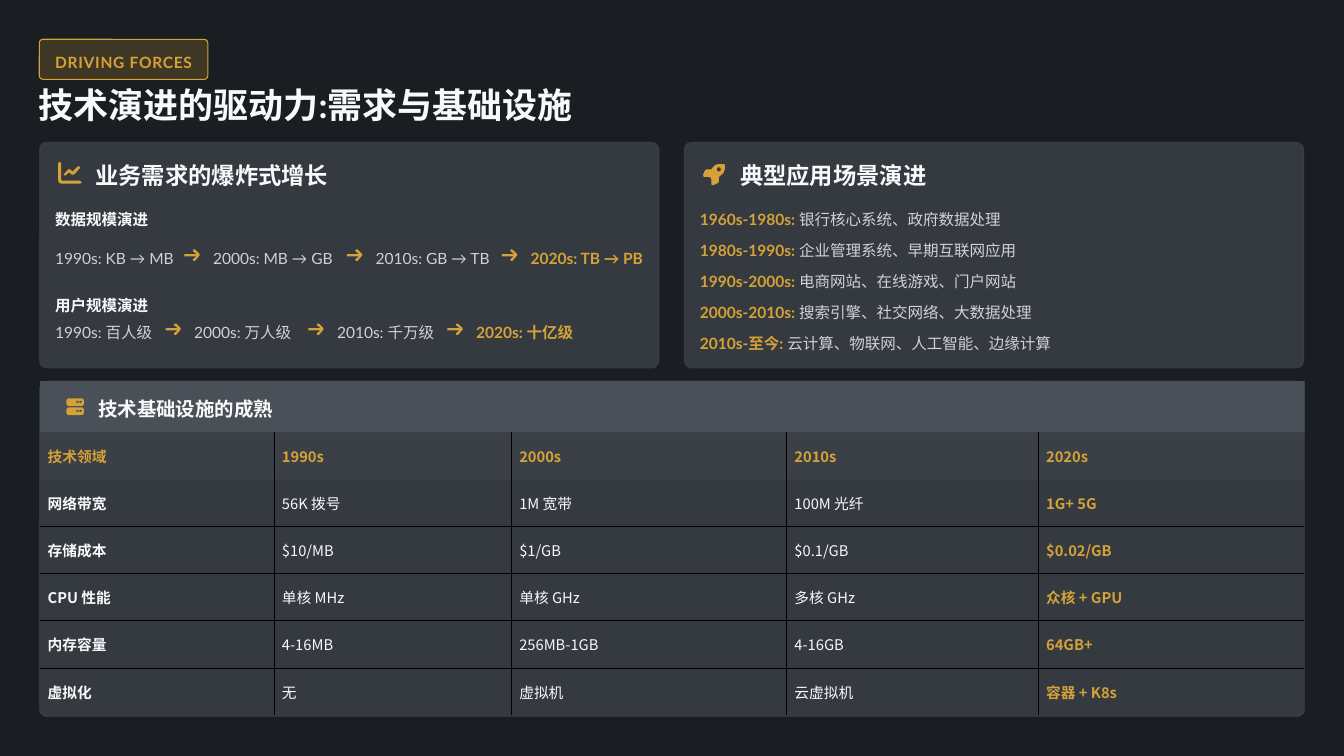
from lxml import etree
from pptx import Presentation
from pptx.dml.color import RGBColor
from pptx.enum.shapes import MSO_SHAPE
from pptx.enum.text import MSO_ANCHOR, MSO_AUTO_SIZE, PP_ALIGN
from pptx.oxml.ns import qn
from pptx.util import Inches, Pt

RECTANGLE = MSO_SHAPE.RECTANGLE
ROUNDED = MSO_SHAPE.ROUNDED_RECTANGLE
OVAL = MSO_SHAPE.OVAL
MIDDLE = MSO_ANCHOR.MIDDLE
LEFT = PP_ALIGN.LEFT
NO_AUTOFIT = MSO_AUTO_SIZE.NONE

GOLD, WHITE, PANEL, SLATE, BLACK = "D4A237", "F8F9FA", "343A40", "495057", "000000"
LATIN_FONT, CJK_FONT = "Lato", "Noto Sans CJK SC"
BODY_SIZE = 14.8

ARROW = [[(20, 11), (14, 18), (12, 18), (11, 16), (16, 12), (0, 12), (0, 9),
          (16, 9), (11, 5), (12, 3), (14, 3), (20, 9)]]
GROWTH = [[(0, 2), (2, 0), (4, 2), (4, 24), (5, 25), (29, 25), (31, 27), (29, 29),
           (5, 29), (1, 28), (0, 24)],
          [(7, 17), (13, 10), (16, 10), (19, 13), (26, 6), (28, 6), (29, 8), (21, 17),
           (18, 17), (14, 14), (10, 18), (8, 18)]]
ROCKET = [[(8, 20), (1, 20), (0, 17), (3, 11), (5, 10), (11, 10), (15, 5), (20, 3),
           (27, 3), (29, 4), (29, 9), (27, 15), (21, 20), (21, 26), (20, 28), (14, 31),
           (11, 30), (11, 23), (10, 21)],
          [(24, 10), (23, 8), (21, 7), (19, 8), (18, 10), (19, 12), (21, 13), (23, 12)]]


def rgb(color):
    return RGBColor.from_string(color)


def set_alpha(owner, percent):
    if percent < 100:
        color = owner.find(qn("a:solidFill"))[0]
        etree.SubElement(color, qn("a:alpha")).set("val", str(percent * 1000))


def format_run(run, size, color, bold=False, alpha=100, font=LATIN_FONT):
    run.font.name = font
    run.font.size = Pt(size)
    run.font.bold = bold
    run.font.color.rgb = rgb(color)
    properties = run._r.get_or_add_rPr()
    set_alpha(properties, alpha)
    etree.SubElement(properties, qn("a:ea")).set("typeface", CJK_FONT)


def prepare_frame(frame):
    frame.margin_left = frame.margin_right = frame.margin_top = frame.margin_bottom = 0
    frame.word_wrap = True
    frame.auto_size = NO_AUTOFIT
    frame.vertical_anchor = MIDDLE


def add_text(slide, left, top, width, height, pieces, spacing=1.3):
    label = slide.shapes.add_textbox(Inches(left), Inches(top), Inches(width), Inches(height))
    prepare_frame(label.text_frame)
    paragraph = label.text_frame.paragraphs[0]
    paragraph.line_spacing = spacing
    for text, style in pieces:
        run = paragraph.add_run()
        run.text = text
        format_run(run, **{"size": BODY_SIZE, "color": WHITE, **style})
    return paragraph


def paint(shape, fill, alpha=100, line=None, line_alpha=100):
    shape.shadow.inherit = False
    shape.fill.solid()
    shape.fill.fore_color.rgb = rgb(fill)
    properties = shape._element.spPr
    set_alpha(properties, alpha)
    if line is None:
        shape.line.fill.background()
    else:
        shape.line.color.rgb = rgb(line)
        shape.line.width = Pt(1)
        set_alpha(properties.find(qn("a:ln")), line_alpha)


def add_block(slide, kind, left, top, width, height, radius=0, **colors):
    block = slide.shapes.add_shape(kind, Inches(left), Inches(top), Inches(width), Inches(height))
    if radius:
        block.adjustments[0] = radius / min(width, height)
    paint(block, **colors)


def add_icon(slide, left, top, contours):
    start, *rest = contours[0]
    builder = slide.shapes.build_freeform(*start, scale=Inches(0.01))
    builder.add_line_segments(rest, close=True)
    for start, *rest in contours[1:]:
        builder.move_to(*start)
        builder.add_line_segments(rest, close=True)
    paint(builder.convert_to_shape(Inches(left), Inches(top)), GOLD)


def add_panel(slide, left, top, width, height):
    add_block(slide, ROUNDED, left, top, width, height, radius=0.1,
              fill=PANEL, line=SLATE, line_alpha=30)


def add_header(slide, left, top, title):
    add_block(slide, ROUNDED, left, top, 2.23, 0.53, radius=0.05,
              fill=GOLD, alpha=20, line=GOLD)
    tag = add_text(slide, left + 0.21, top + 0.13, 1.92, 0.27,
                   [("DRIVING FORCES", {"color": GOLD, "bold": True})])
    tag.runs[0]._r.get_or_add_rPr().set("spc", "70")
    heading = slide.shapes.title
    heading.left, heading.top = Inches(left - 0.01), Inches(top + 0.64)
    heading.width, heading.height = Inches(16.98), Inches(0.51)
    heading.text_frame.text = title
    prepare_frame(heading.text_frame)
    paragraph = heading.text_frame.paragraphs[0]
    paragraph.alignment = LEFT
    paragraph.line_spacing = 0.9
    format_run(paragraph.runs[0], 33.3, WHITE, True)


def add_card(slide, left, top, title, icon):
    add_panel(slide, left, top, 8.2, 2.99)
    add_icon(slide, left + 0.25, top + 0.26, icon)
    add_text(slide, left + 0.74, top + 0.21, 7.41, 0.41,
             [(title, {"size": 22.2, "bold": True})], 1.1)


def add_growth_row(slide, left, top, height, arrow_top, stages):
    for index, (offset, text) in enumerate(stages):
        latest = index == len(stages) - 1
        style = {"color": GOLD, "bold": True} if latest else {"alpha": 80}
        add_text(slide, left + offset, top, 1.7, height, [(text, style)])
        if index:
            add_icon(slide, left + offset - 0.38, top + arrow_top, ARROW)


def add_growth_card(slide, left, top):
    add_card(slide, left, top, "业务需求的爆炸式增长", GROWTH)
    inner = left + 0.21
    for offset, text in ((0.83, "数据规模演进"), (1.96, "用户规模演进")):
        add_text(slide, inner, top + offset, 1.5, 0.31, [(text, {"bold": True})])
    add_growth_row(slide, inner, top + 1.19, 0.62, 0.2, [
        (0, "1990s: KB → MB"), (2.09, "2000s: MB → GB"),
        (4.24, "2010s: GB → TB"), (6.29, "2020s: TB → PB")])
    add_growth_row(slide, inner, top + 2.32, 0.31, 0.05, [
        (0, "1990s: 百人级"), (1.84, "2000s: 万人级"),
        (3.73, "2010s: 千万级"), (5.57, "2020s: 十亿级")])


def add_scenario_card(slide, left, top):
    add_card(slide, left, top, "典型应用场景演进", ROCKET)
    scenarios = [
        ("1960s-1980s:", "银行核心系统、政府数据处理"),
        ("1980s-1990s:", "企业管理系统、早期互联网应用"),
        ("1990s-2000s:", "电商网站、在线游戏、门户网站"),
        ("2000s-2010s:", "搜索引擎、社交网络、大数据处理"),
        ("2010s-至今:", "云计算、物联网、人工智能、边缘计算"),
    ]
    for index, (period, uses) in enumerate(scenarios):
        add_text(slide, left + 0.21, top + 0.83 + 0.41 * index, 7.88, 0.31,
                 [(period, {"color": GOLD, "bold": True}), (" " + uses, {"alpha": 80})])


def set_borders(cell, visible):
    properties = cell._tc.get_or_add_tcPr()
    for side in "LRTB":
        border = etree.SubElement(properties, qn("a:ln" + side))
        if side in visible:
            border.set("w", str(Pt(1)))
            fill = etree.SubElement(border, qn("a:solidFill"))
            etree.SubElement(fill, qn("a:srgbClr")).set("val", BLACK)
        else:
            etree.SubElement(border, qn("a:noFill"))


def add_maturity_table(slide, left, top):
    rows = [
        ("技术领域", "1990s", "2000s", "2010s", "2020s"),
        ("网络带宽", "56K 拨号", "1M 宽带", "100M 光纤", "1G+ 5G"),
        ("存储成本", "$10/MB", "$1/GB", "$0.1/GB", "$0.02/GB"),
        ("CPU 性能", "单核 MHz", "单核 GHz", "多核 GHz", "众核 + GPU"),
        ("内存容量", "4-16MB", "256MB-1GB", "4-16GB", "64GB+"),
        ("虚拟化", "无", "虚拟机", "云虚拟机", "容器 + K8s"),
    ]
    widths = [3.1, 3.14, 3.64, 3.33, 3.51]
    last_row, last_column = len(rows) - 1, len(widths) - 1
    table = slide.shapes.add_table(len(rows), len(widths), Inches(left), Inches(top),
                                   Inches(sum(widths)), Inches(3.74)).table
    table.horz_banding = table.first_row = False
    for column, width in zip(table.columns, widths):
        column.width = Inches(width)
    for r, values in enumerate(rows):
        table.rows[r].height = Inches(3.74 / len(rows))
        for c, value in enumerate(values):
            cell = table.cell(r, c)
            cell.text_frame.text = value
            cell.vertical_anchor = MIDDLE
            color = GOLD if r == 0 or c == last_column else WHITE
            format_run(cell.text_frame.paragraphs[0].runs[0], 14, color,
                       r == 0 or c in (0, last_column), font=CJK_FONT)
            sides = {"L": c > 0, "R": c < last_column, "T": r > 1, "B": 0 < r < last_row}
            set_borders(cell, [side for side, shown in sides.items() if shown])
            if r == 0:
                cell.fill.solid()
                cell.fill.fore_color.rgb = rgb(SLATE)
                set_alpha(cell._tc.get_or_add_tcPr(), 30)
            else:
                cell.fill.background()


def add_infrastructure(slide, left, top):
    add_panel(slide, left, top, 16.74, 4.44)
    add_block(slide, RECTANGLE, left + 0.01, top, 16.73, 0.68, fill=SLATE)
    for unit_top in (top + 0.23, top + 0.35):
        add_block(slide, ROUNDED, left + 0.36, unit_top, 0.23, 0.1, radius=0.03, fill=GOLD)
        for light in (0.49, 0.53):
            add_block(slide, OVAL, left + light, unit_top + 0.03, 0.03, 0.03, fill=SLATE)
    add_text(slide, left + 0.78, top + 0.16, 15.77, 0.36,
             [("技术基础设施的成熟", {"size": 18.5, "bold": True})], 1.2)
    add_maturity_table(slide, left + 0.01, top + 0.68)


def main():
    deck = Presentation()
    deck.slide_width, deck.slide_height = Inches(17.78), Inches(10)
    slide = deck.slides.add_slide(deck.slide_layouts[5])
    slide.background.fill.solid()
    slide.background.fill.fore_color.rgb = rgb("1A1D21")
    add_header(slide, 0.52, 0.52, "技术演进的驱动力:需求与基础设施")
    add_growth_card(slide, 0.52, 1.88)
    add_scenario_card(slide, 9.05, 1.88)
    add_infrastructure(slide, 0.52, 5.04)
    deck.save("out.pptx")


if __name__ == "__main__":
    main()
